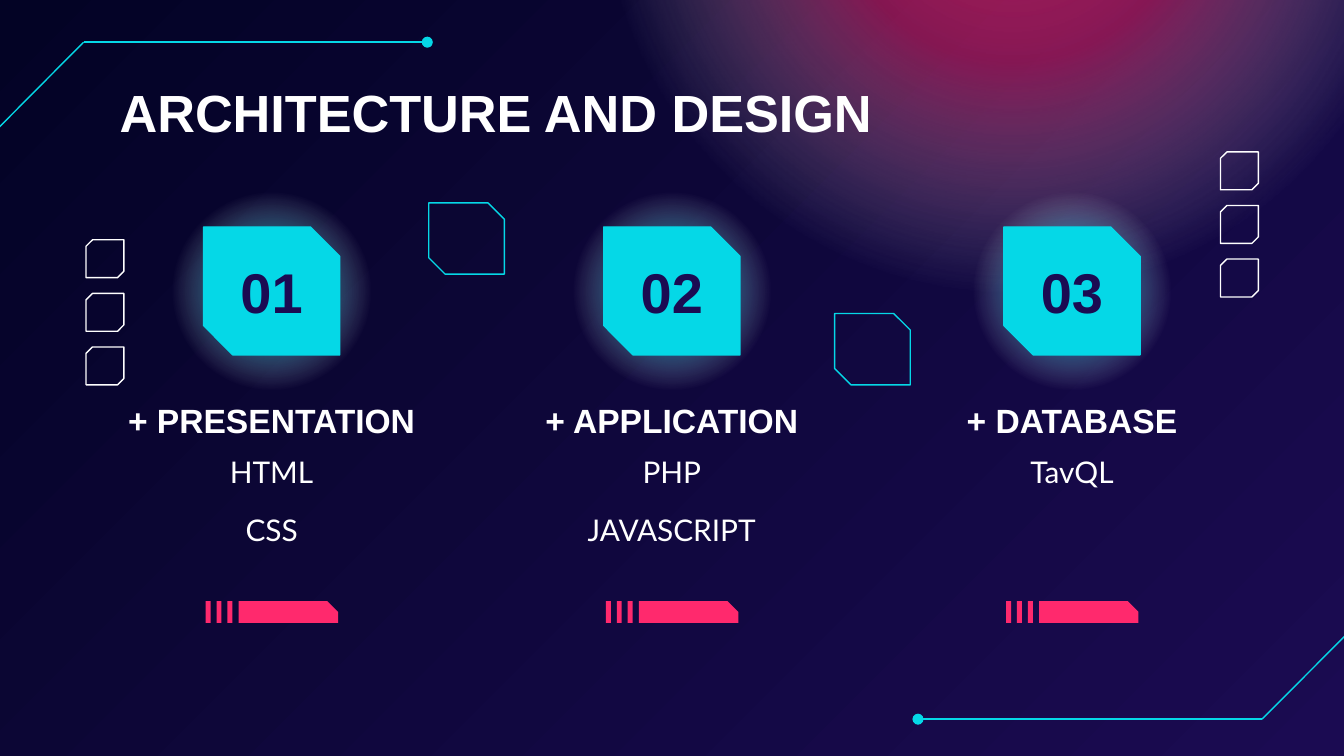
import pptx
import pptx.dml.color
import pptx.enum.dml
import pptx.enum.shapes
import pptx.enum.text
import pptx.oxml
import pptx.oxml.ns
import pptx.util

Pt = pptx.util.Pt
SHAPE = pptx.enum.shapes.MSO_SHAPE
ALIGN = pptx.enum.text.PP_ALIGN
ANCHOR = pptx.enum.text.MSO_ANCHOR

TITLE = "ARCHITECTURE AND DESIGN"
LAYERS = [
    ("01", "+ PRESENTATION", ["HTML", "CSS"]),
    ("02", "+ APPLICATION", ["PHP", "JAVASCRIPT"]),
    ("03", "+ DATABASE", ["TavQL"]),
]
CYAN, PINK, WHITE, NAVY, INDIGO = "05D8E7", "FF296D", "FFFFFF", "030325", "1B0B52"
CORNER_LINES = [
    [(-0.5, 68.2), (44.8, 22.6), (228.9, 22.6)],
    [(721.4, 339.8), (676.1, 385.3), (491.8, 385.3)],
]
OUTLINE_TILES = [(229.7, 108.7), (447.1, 168)]
SQUARE_STACKS = [(653.8, 81.4), (46.1, 128.5)]
FIRST_CENTER, COLUMN_PITCH = 145.5, 214.4
COLUMN_WIDTH = 178.6


def color(value):
    return pptx.dml.color.RGBColor.from_string(value)


def add_figure(kind, left, top, width, height, fill=None, line=None, adjust=(), turn=0):
    figure = page.shapes.add_shape(kind, Pt(left), Pt(top), Pt(width), Pt(height))
    figure.shadow.inherit = False
    figure.rotation = turn
    for index, value in enumerate(adjust):
        figure.adjustments[index] = value
    if fill:
        figure.fill.solid()
        figure.fill.fore_color.rgb = color(fill)
    else:
        figure.fill.background()
    if line:
        figure.line.color.rgb = color(line)
        figure.line.width = Pt(0.75)
    else:
        figure.line.fill.background()
    return figure


def add_glow(left, top, size, tint, center_alpha, middle_alpha):
    glow = add_figure(SHAPE.OVAL, left, top, size, size)
    stops = [(0, tint, center_alpha), (30, tint, middle_alpha), (69, WHITE, 0), (100, WHITE, 0)]
    stop_xml = "".join(
        f'<a:gs pos="{place * 1000}"><a:srgbClr val="{tone}">'
        f'<a:alpha val="{alpha * 1000}"/></a:srgbClr></a:gs>'
        for place, tone, alpha in stops
    )
    gradient = pptx.oxml.parse_xml(
        f'<a:gradFill {pptx.oxml.ns.nsdecls("a")}><a:gsLst>{stop_xml}</a:gsLst>'
        '<a:path path="circle"><a:fillToRect l="50000" t="50000" r="50000" b="50000"/>'
        "</a:path></a:gradFill>"
    )
    properties = glow.element.spPr
    old_fill = properties.find(pptx.oxml.ns.qn("a:noFill"))
    properties.replace(old_fill, gradient)
    return glow


def add_line(start, end, dot=False):
    connector = page.shapes.add_connector(
        pptx.enum.shapes.MSO_CONNECTOR.STRAIGHT, *map(Pt, start + end)
    )
    connector.line.color.rgb = color(CYAN)
    connector.line.width = Pt(0.75)
    properties = connector.element.spPr
    namespace = pptx.oxml.ns.nsdecls("a")
    if dot:
        properties.get_or_add_ln().append(
            pptx.oxml.parse_xml(f'<a:tailEnd {namespace} type="oval"/>')
        )
    properties.append(pptx.oxml.parse_xml(f"<a:effectLst {namespace}/>"))


def place(box, left, top, width, height):
    box.left, box.top, box.width, box.height = map(Pt, (left, top, width, height))


def write(box, lines, size, font="Arial", tone=WHITE, bold=True,
          align=ALIGN.CENTER, anchor=ANCHOR.MIDDLE, after=0):
    frame = box.text_frame
    frame.word_wrap = True
    frame.auto_size = pptx.enum.text.MSO_AUTO_SIZE.NONE
    frame.vertical_anchor = anchor
    frame.margin_left = frame.margin_right = Pt(7.2)
    frame.margin_top = frame.margin_bottom = Pt(7.2)
    frame.text = "\n".join(lines)
    for para in frame.paragraphs:
        para.alignment = align
        para.space_before, para.space_after = Pt(0), Pt(after)
        properties = para._p.get_or_add_pPr()
        properties.set("marL", "0")
        properties.set("indent", "0")
        properties.append(pptx.oxml.parse_xml(f'<a:buNone {pptx.oxml.ns.nsdecls("a")}/>'))
        span = para.runs[0]
        span.font.name, span.font.size, span.font.bold = font, Pt(size), bold
        span.font.color.rgb = color(tone)


deck = pptx.Presentation()
deck.slide_width, deck.slide_height = Pt(720), Pt(405)
page = deck.slides.add_slide(deck.slide_layouts.get_by_name("Comparison"))

backdrop = page.background.fill
backdrop.gradient()
backdrop.gradient_angle = 315
for stop, tone, position in zip(backdrop.gradient_stops, (NAVY, INDIGO), (0, 1)):
    stop.color.rgb = color(tone)
    stop.position = position

title, *bodies = page.placeholders
place(title, 56.9, 35.6, 565.2, 48.2)
write(title, [TITLE], 28, align=ALIGN.LEFT, anchor=ANCHOR.TOP)

corner_glow = add_glow(317.5, -287.3, 450, PINK, 67, 49)
corner_glow.element.getparent().insert(2, corner_glow.element)

for start, bend, end in CORNER_LINES:
    add_line(start, bend)
    add_line(bend, end, dot=True)

for index, (number, heading, tools) in enumerate(LAYERS):
    center = FIRST_CENTER + index * COLUMN_PITCH
    left = center - COLUMN_WIDTH / 2

    add_glow(center - 54.4, 101.5, 108.8, CYAN, 71, 48)
    badge = add_figure(SHAPE.SNIP_2_DIAG_RECTANGLE, center - 36.5, 121.6, 73, 68.5,
                       fill=CYAN, line=CYAN, adjust=(0, 0.23))
    write(badge, [number], 30, tone=INDIGO)

    heading_box = page.shapes.add_textbox(Pt(left), Pt(211), Pt(COLUMN_WIDTH), Pt(28.1))
    write(heading_box, [heading], 18, after=12)
    place(bodies[index], left, 235.8, COLUMN_WIDTH, 72.7)
    write(bodies[index], tools, 16, font="Lato", bold=False, anchor=ANCHOR.TOP, after=12)

    for tick in range(3):
        add_figure(SHAPE.RECTANGLE, center - 35.3 + tick * 5.8, 322, 2.7, 11.7, fill=PINK)
    add_figure(SHAPE.SNIP_1_RECTANGLE, center - 17.6, 322, 53.2, 11.7, fill=PINK, adjust=(0.5,))

for unused in bodies[len(LAYERS):]:
    unused.element.getparent().remove(unused.element)

for left, top in OUTLINE_TILES:
    add_figure(SHAPE.SNIP_2_DIAG_RECTANGLE, left, top, 40.5, 38.2, line=CYAN, adjust=(0, 0.23))

for left, top in SQUARE_STACKS:
    for row in range(3):
        add_figure(SHAPE.SNIP_2_DIAG_RECTANGLE, left, top + row * 28.7, 20.3, 20.3,
                   line=WHITE, adjust=(0, 0.17), turn=90)

deck.save("out.pptx")
